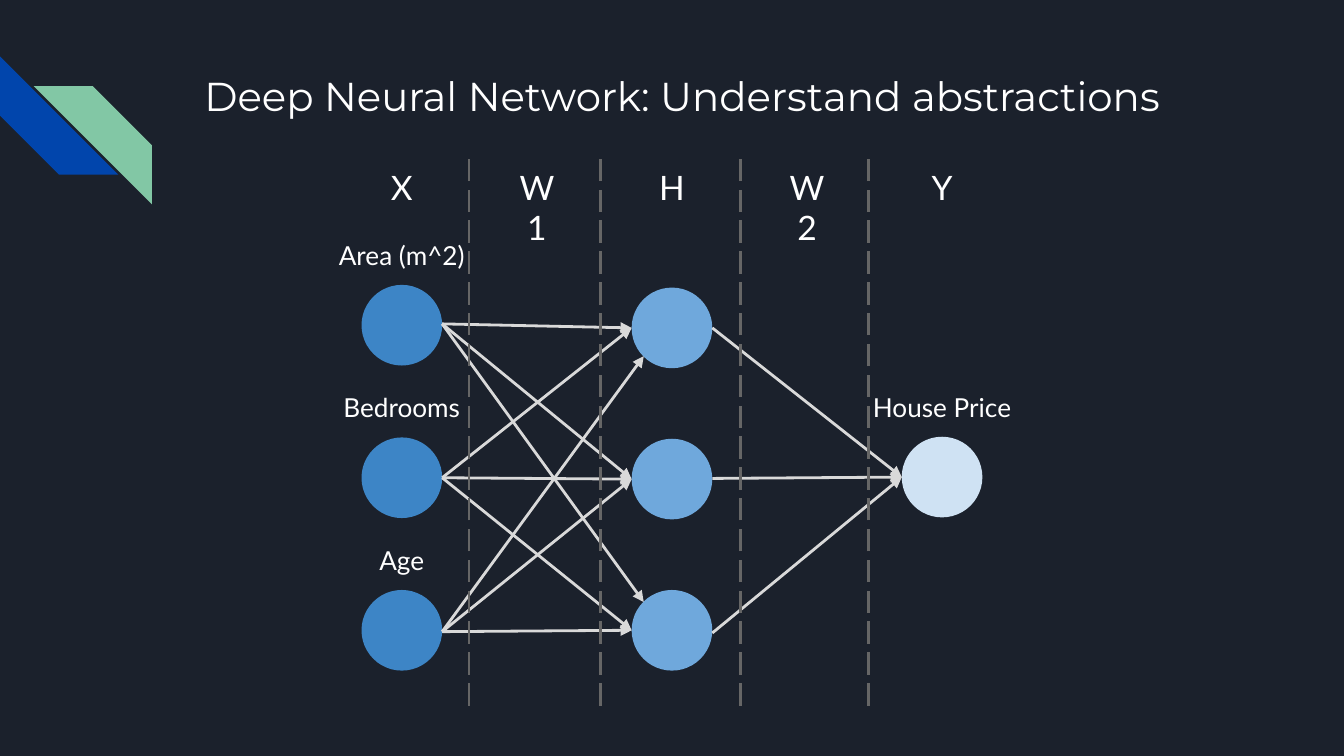
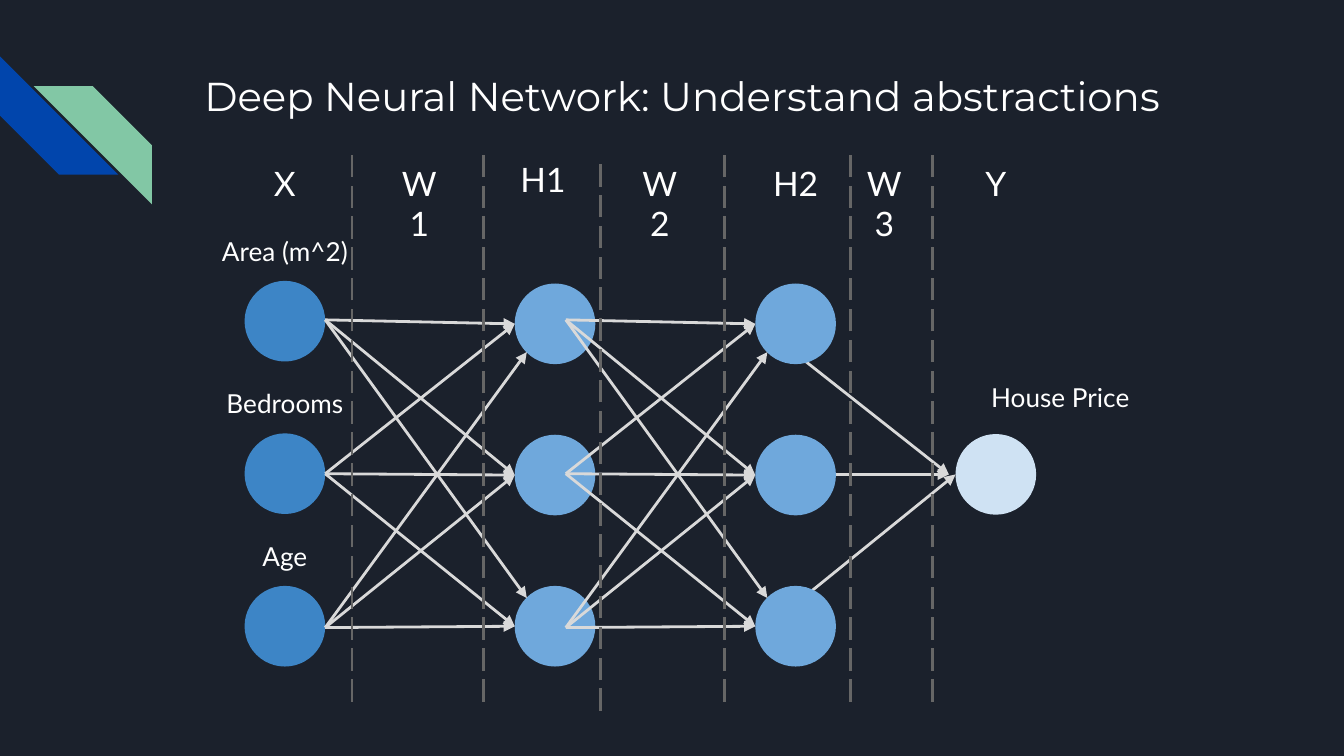
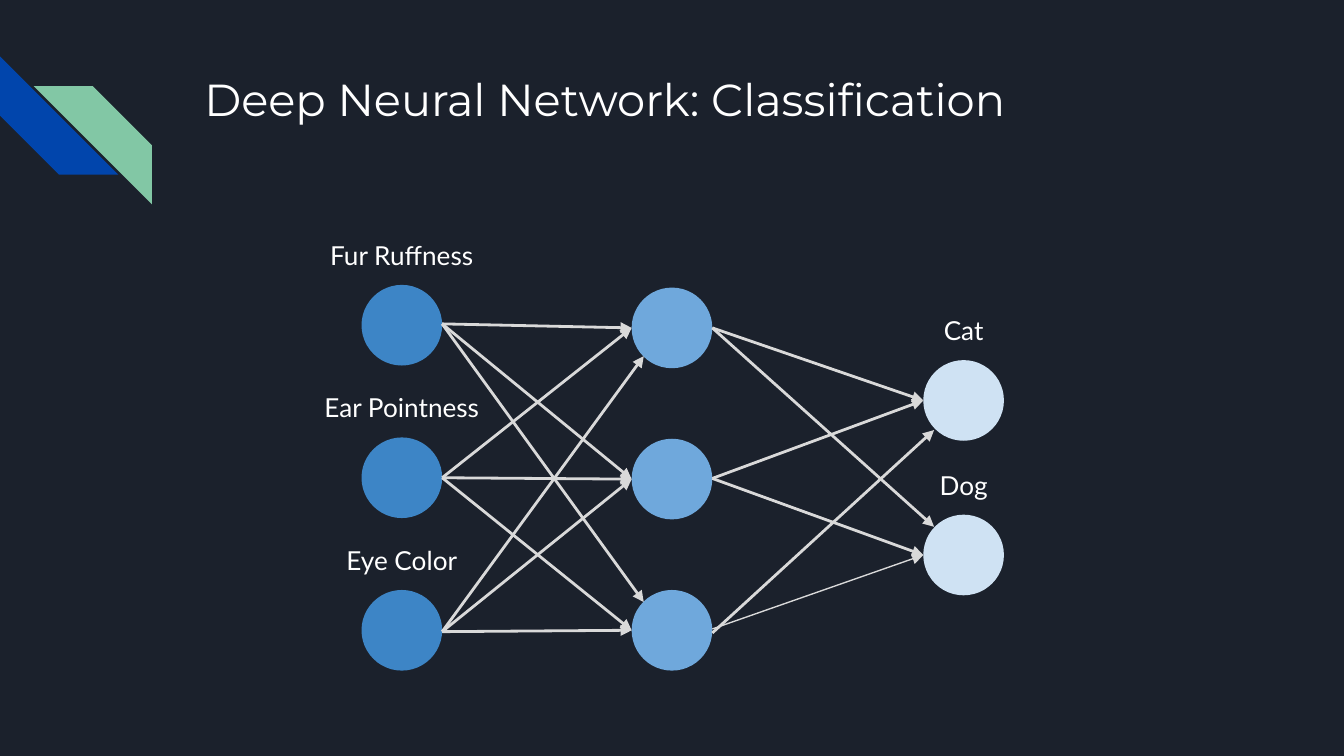
from dataclasses import dataclass, field

from lxml.etree import SubElement
from pptx import Presentation
from pptx.dml.color import RGBColor
from pptx.enum.dml import MSO_LINE_DASH_STYLE as Dash
from pptx.enum.shapes import MSO_CONNECTOR as Link, MSO_SHAPE as Form
from pptx.enum.text import MSO_ANCHOR as Anchor, MSO_AUTO_SIZE as Fit, PP_ALIGN as Align
from pptx.oxml.ns import qn
from pptx.shapes.autoshape import Shape
from pptx.shapes.connector import Connector
from pptx.slide import Slide, SlideLayout
from pptx.text.text import TextFrame
from pptx.util import Inches, Pt

NIGHT = RGBColor(0x1B, 0x21, 0x2C)
WHITE = RGBColor(0xFF, 0xFF, 0xFF)
ROYAL = RGBColor(0x01, 0x45, 0xAC)
MINT = RGBColor(0x82, 0xC7, 0xA5)
INPUT = RGBColor(0x3D, 0x85, 0xC6)
HIDDEN = RGBColor(0x6F, 0xA8, 0xDC)
OUTPUT = RGBColor(0xCF, 0xE2, 0xF3)
ARROW = RGBColor(0xD9, 0xD9, 0xD9)
RULE = RGBColor(0x66, 0x66, 0x66)

WIDTH = Inches(10)
HEIGHT = WIDTH * 9 // 16
DOT = 0.6       # diameter of a neuron
GAP = 2.01      # from one layer to the next
LABEL_W, LABEL_H = 1.66, 0.44
HEAD_H = 0.5
RULE_H = 4.11


@dataclass
class Dot:
    x: float
    y: float
    fill: RGBColor
    label: str = ""


@dataclass
class Head:
    text: str
    x: float
    y: float


@dataclass
class Edge:
    x1: float
    y1: float
    x2: float
    y2: float
    width: float = 1.5


@dataclass
class Rule:
    x: float
    top: float


@dataclass
class Net:
    title: str
    size: float
    dots: list[Dot]
    edges: list[Edge]
    late: list[Dot] = field(default_factory=list)
    mesh: list[Edge] = field(default_factory=list)
    heads: list[Head] = field(default_factory=list)
    rules: list[Rule] = field(default_factory=list)
    notes: list[Head] = field(default_factory=list)


def inputs(x: float, top: float, labels: list[str]) -> list[Dot]:
    return [Dot(x, top + 2.27 * i / 2, INPUT, label) for i, label in enumerate(labels)]


def hidden(x: float, top: float) -> list[Dot]:
    return [Dot(x, top + 0.02 + 2.25 * i / 2, HIDDEN) for i in range(3)]


def mesh(x: float, top: float) -> list[Edge]:
    """Join three neurons, the first at (x, top), to each of the next three."""
    starts = [top + 0.29 + 2.29 * i / 2 for i in range(3)]
    ends = [top + 0.32 + 2.25 * i / 2 for i in range(3)]
    edges = []
    for i, y1 in enumerate(starts):
        for j, y2 in enumerate(ends):
            # The longest diagonals meet the circle on its corner.
            far = (j - i) // 2 if abs(j - i) == 2 else 0
            edges.append(Edge(x + DOT, y1, x + GAP + 0.09 * abs(far), y2 - 0.21 * far))
    return edges


def write(frame: TextFrame, text: str, *, font: str = "Lato", size: float = 14,
          align: Align = Align.CENTER, fit: Fit = Fit.SHAPE_TO_FIT_TEXT) -> None:
    frame.word_wrap = True
    frame.auto_size = fit
    frame.vertical_anchor = Anchor.TOP
    frame.margin_left = frame.margin_right = Inches(0.1)
    frame.margin_top = frame.margin_bottom = Inches(0.1)
    para = frame.paragraphs[0]
    para.alignment = align
    run = para.add_run()
    run.text = text
    run.font.name = font
    run.font.size = Pt(size)
    run.font.color.rgb = WHITE


def label(slide: Slide, text: str, x: float, y: float, w: float, h: float,
          size: float) -> None:
    box = slide.shapes.add_textbox(Inches(x), Inches(y), Inches(w), Inches(h))
    write(box.text_frame, text, size=size)


def solid(slide: Slide, form: Form, x: float, y: float, side: float,
          fill: RGBColor) -> Shape:
    shape = slide.shapes.add_shape(form, Inches(x), Inches(y), Inches(side), Inches(side))
    shape.shadow.inherit = False
    shape.fill.solid()
    shape.fill.fore_color.rgb = fill
    shape.line.fill.background()
    return shape


def line(slide: Slide, edge: Edge, color: RGBColor) -> Connector:
    link = slide.shapes.add_connector(
        Link.STRAIGHT, Inches(edge.x1), Inches(edge.y1), Inches(edge.x2), Inches(edge.y2))
    link.line.color.rgb = color
    link.line.width = Pt(edge.width)
    SubElement(link.element.spPr, qn("a:effectLst"))
    return link


def arrow(slide: Slide, edge: Edge) -> None:
    link = line(slide, edge, ARROW)
    SubElement(link.element.spPr.find(qn("a:ln")), qn("a:tailEnd"), type="triangle")


def divide(slide: Slide, rule: Rule) -> None:
    edge = Edge(rule.x, rule.top + RULE_H, rule.x, rule.top)
    line(slide, edge, RULE).line.dash_style = Dash.LONG_DASH


def neuron(slide: Slide, dot: Dot) -> None:
    solid(slide, Form.OVAL, dot.x, dot.y, DOT, dot.fill)
    if dot.label:
        label(slide, dot.label, dot.x - (LABEL_W - DOT) / 2, dot.y - LABEL_H,
              LABEL_W, LABEL_H, 14)


def theme(layout: SlideLayout) -> None:
    layout.background.fill.solid()
    layout.background.fill.fore_color.rgb = NIGHT
    title = layout.placeholders[0]
    title.left, title.top = Inches(1.42), Inches(0.43)
    title.width, title.height = Inches(7.64), Inches(0.6)


def brand(slide: Slide, layout: SlideLayout) -> None:
    """Draw the corner stripes and move them into the layout."""
    blue = solid(slide, Form.DIAGONAL_STRIPE, 0, 0.42, 0.88, ROYAL)
    blue.rotation = 270
    green = solid(slide, Form.DIAGONAL_STRIPE, 0.25, 0.64, 0.88, MINT)
    green.element.spPr.xfrm.set("flipH", "1")
    for i, stripe in enumerate((blue, green)):
        stripe.element.nvSpPr.cNvPr.set("id", str(20 + i))
        layout.shapes.element.insert(2 + i, stripe.element)


def draw(slide: Slide, net: Net) -> None:
    write(slide.shapes.title.text_frame, net.title, font="Montserrat", size=net.size,
          align=Align.LEFT, fit=Fit.NONE)
    for dots, edges in ((net.dots, net.edges), (net.late, net.mesh)):
        for dot in dots:
            neuron(slide, dot)
        for edge in edges:
            arrow(slide, edge)
    for note in net.notes:
        label(slide, note.text, note.x, note.y, LABEL_W, LABEL_H, 14)
    for head in net.heads:
        label(slide, head.text, head.x, head.y, DOT, HEAD_H, 18)
    for rule in net.rules:
        divide(slide, rule)


ABSTRACT = "Deep Neural Network: Understand abstractions"
HOUSE = ["Area (m^2)", "Bedrooms", "Age"]
PET = ["Fur Ruffness", "Ear Pointness", "Eye Color"]

NETS = [
    Net(
        ABSTRACT, 21.6,
        dots=inputs(2.69, 2.12, HOUSE) + hidden(4.7, 2.12)
        + [Dot(6.71, 3.25, OUTPUT, "House Price")],
        edges=mesh(2.69, 2.12)
        + [Edge(5.3, y, 6.71, 3.55) for y in (2.44, 3.56, 4.71)],
        heads=[Head(text, 2.69 + GAP / 2 * i, 1.14)
               for i, text in enumerate(["X", "W1", "H", "W2", "Y"])],
        rules=[Rule(x, 1.14) for x in (3.49, 4.47, 5.51, 6.46)],
    ),
    Net(
        ABSTRACT, 21.6,
        dots=inputs(1.82, 2.09, HOUSE) + hidden(3.83, 2.09) + [Dot(7.11, 3.23, OUTPUT)],
        edges=mesh(1.82, 2.09)
        + [Edge(5.64, 2.41, 7.06, 3.53), Edge(5.64, 3.53, 7.06, 3.53),
           Edge(5.69, 4.68, 7.11, 3.53)],
        late=hidden(5.62, 2.09),
        mesh=mesh(3.61, 2.09),
        notes=[Head("House Price", 7.06, 2.74)],
        heads=[Head("H1", 3.74, 1.08)]
        + [Head(text, x, 1.11) for text, x in (
            ("X", 1.82), ("W1", 2.82), ("W2", 4.61), ("H2", 5.62), ("W3", 6.28),
            ("Y", 7.11))],
        rules=[Rule(x, 1.11) for x in (2.62, 3.6, 5.39, 6.33, 6.94)] + [Rule(4.47, 1.18)],
    ),
    Net(
        "Deep Neural Network: Classification", 24,
        dots=inputs(2.69, 2.12, PET) + hidden(4.7, 2.12)
        + [Dot(6.87, 2.68, OUTPUT, "Cat"), Dot(6.87, 3.83, OUTPUT, "Dog")],
        edges=mesh(2.69, 2.12)
        + [Edge(5.3, 2.44, 6.87, 2.98), Edge(5.3, 3.56, 6.87, 2.98),
           Edge(5.3, 4.71, 6.95, 3.2), Edge(5.3, 2.44, 6.95, 3.92),
           Edge(5.3, 3.56, 6.87, 4.13), Edge(5.3, 4.68, 6.87, 4.13, 0.75)],
    ),
]


def main() -> None:
    deck = Presentation()
    deck.slide_width, deck.slide_height = WIDTH, HEIGHT
    layout = deck.slide_layouts[5]
    theme(layout)
    for i, net in enumerate(NETS):
        slide = deck.slides.add_slide(layout)
        if i == 0:
            brand(slide, layout)
        draw(slide, net)
    deck.save("out.pptx")


if __name__ == "__main__":
    main()
